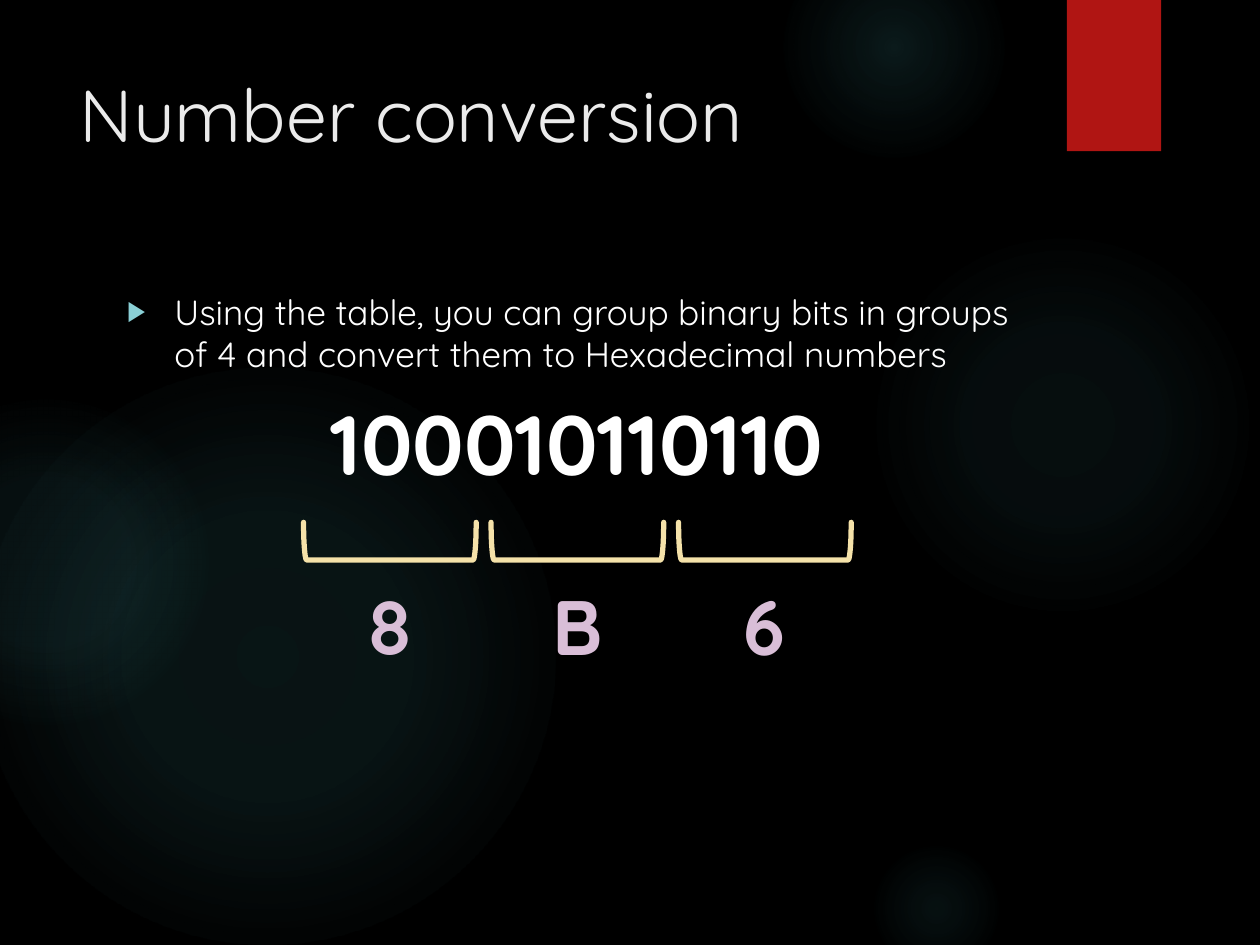
from lxml.etree import SubElement
from pptx import Presentation
from pptx.dml.color import RGBColor
from pptx.enum.shapes import MSO_SHAPE as Preset
from pptx.enum.text import MSO_ANCHOR as Anchor, MSO_AUTO_SIZE as AutoSize, PP_ALIGN as Align
from pptx.oxml import parse_xml
from pptx.oxml.ns import nsdecls, qn
from pptx.util import Cm, Pt

FONT = "Quicksand"
BLACK = RGBColor(0x00, 0x00, 0x00)
WHITE = RGBColor(0xFF, 0xFF, 0xFF)
TITLE_GREY = RGBColor(0xEB, 0xEB, 0xEB)
RED = RGBColor(0xB0, 0x15, 0x13)
TEAL = RGBColor(0x50, 0xB9, 0xC1)
BULLET_TEAL = RGBColor(0x8A, 0xD0, 0xD6)
CREAM = RGBColor(0xF5, 0xE2, 0xA9)
LILAC = RGBColor(0xD9, 0xBE, 0xD7)

GLOWS = [
    (17.5, 4.65, 7.82, (7, 6), 69),
    (15.8, -1.27, 4.45, (14, 7), 73),
    (17.5, 16.94, 2.74, (9, 5), 66),
    (-0.43, 7.42, 11.63, (11, 10), 75),
    (-2.34, 8.05, 6.55, (8, 8), 72),
]


def write(paragraph, text, size=20, color=WHITE, bold=False, align=Align.LEFT, before=0):
    """Put one formatted run into a paragraph."""
    paragraph.alignment = align
    paragraph.space_before = Pt(before)
    run = paragraph.add_run()
    run.text = text
    run.font.name = FONT
    run.font.size = Pt(size)
    run.font.bold = bold
    run.font.color.rgb = color


def set_bullet(paragraph, character=None, indent=0):
    """Give a paragraph a hanging bullet, or none."""
    properties = paragraph._p.get_or_add_pPr()
    properties.set("marL", str(Cm(indent)))
    properties.set("indent", str(-Cm(indent)))
    if character is None:
        SubElement(properties, qn("a:buNone"))
        return
    color = SubElement(properties, qn("a:buClr"))
    SubElement(color, qn("a:srgbClr"), val=str(BULLET_TEAL))
    SubElement(properties, qn("a:buSzPct"), val="80000")
    SubElement(properties, qn("a:buChar"), char=character)


def place(shape, left, top, width, height):
    """Move and size a shape, with lengths in centimetres."""
    shape.left, shape.top = Cm(left), Cm(top)
    shape.width, shape.height = Cm(width), Cm(height)


def add_preset(slide, preset, left, top, width, height):
    """Add a preset shape without shadow or outline."""
    shape = slide.shapes.add_shape(preset, Cm(left), Cm(top), Cm(width), Cm(height))
    shape.shadow.inherit = False
    shape.line.fill.background()
    return shape


def add_glow(slide, left, top, size, opacities, fade):
    """Add a circle of light that fades outwards."""
    shape = add_preset(slide, Preset.OVAL, left, top, size, size)
    stops = "".join(
        f'<a:gs pos="{position * 1000}"><a:srgbClr val="{TEAL}">'
        f'<a:alpha val="{opacity * 1000}"/></a:srgbClr></a:gs>'
        for position, opacity in zip((0, 36, fade), (*opacities, 0))
    )
    gradient = parse_xml(
        f'<a:gradFill {nsdecls("a")}><a:gsLst>{stops}</a:gsLst><a:path path="circle">'
        '<a:fillToRect l="50000" t="50000" r="50000" b="50000"/></a:path></a:gradFill>'
    )
    shape._element.spPr.find(qn("a:prstGeom")).addnext(gradient)


def add_backdrop(slide):
    """Draw the black background, its glows and the red tab."""
    slide.background.fill.solid()
    slide.background.fill.fore_color.rgb = BLACK
    for glow in GLOWS:
        add_glow(slide, *glow)
    tab = add_preset(slide, Preset.RECTANGLE, 21.51, 0, 1.9, 3.05)
    tab.fill.solid()
    tab.fill.fore_color.rgb = RED


def fill_placeholder(slide, placeholder, left, top, width, height):
    """Place a placeholder in front of the backdrop and return its text frame."""
    slide.shapes._spTree.append(placeholder._element)
    place(placeholder, left, top, width, height)
    frame = placeholder.text_frame
    frame.auto_size = AutoSize.NONE
    frame.vertical_anchor = Anchor.TOP
    return frame


def add_title(slide, left, top, width, height):
    """Fill the title."""
    frame = fill_placeholder(slide, slide.shapes.title, left, top, width, height)
    write(frame.paragraphs[0], "Number conversion", size=42, color=TITLE_GREY)


def add_body(slide, left, top, width, height):
    """Fill the body with the rule and the binary number."""
    frame = fill_placeholder(slide, slide.placeholders[1], left, top, width, height)
    rule = frame.paragraphs[0]
    set_bullet(rule, "▶", indent=0.95)
    write(rule, "Using the table, you can group binary bits in groups of 4 "
                "and convert them to Hexadecimal numbers")
    number = frame.add_paragraph()
    set_bullet(number)
    write(number, "100010110110", size=48, bold=True, align=Align.CENTER, before=10)


def add_digit(slide, digit, left, top, width, depth):
    """Add an upward bracket with its hexadecimal digit below."""
    bracket = add_preset(slide, Preset.LEFT_BRACKET, left + (width - depth) / 2,
                         top + (depth - width) / 2, depth, width)
    bracket.rotation = 270
    bracket.fill.background()
    bracket.line.color.rgb = CREAM
    bracket.line.width = Pt(3)
    bracket.line._get_or_add_ln().set("cap", "rnd")
    label = slide.shapes.add_textbox(Cm(left), Cm(top + 1), Cm(width), Cm(2.13))
    label.text_frame.word_wrap = True
    write(label.text_frame.paragraphs[0], digit, size=44, color=LILAC, bold=True,
          align=Align.CENTER)


def add_digits(slide, digits, left, top, width, gap):
    """Set the hexadecimal digits side by side."""
    for index, digit in enumerate(digits):
        add_digit(slide, digit, left + index * (width + gap), top, width, depth=0.76)


def main():
    """Build and save the slide."""
    presentation = Presentation()
    presentation.slide_width, presentation.slide_height = Cm(25.4), Cm(19.05)
    slide = presentation.slides.add_slide(presentation.slide_layouts[1])
    add_backdrop(slide)
    add_title(slide, 1.35, 1.27, 19.61, 3.89)
    add_body(slide, 2.31, 5.72, 18.64, 11.66)
    add_digits(slide, "8B6", 6.12, 10.53, width=3.48, gap=0.3)
    presentation.save("out.pptx")


if __name__ == "__main__":
    main()
